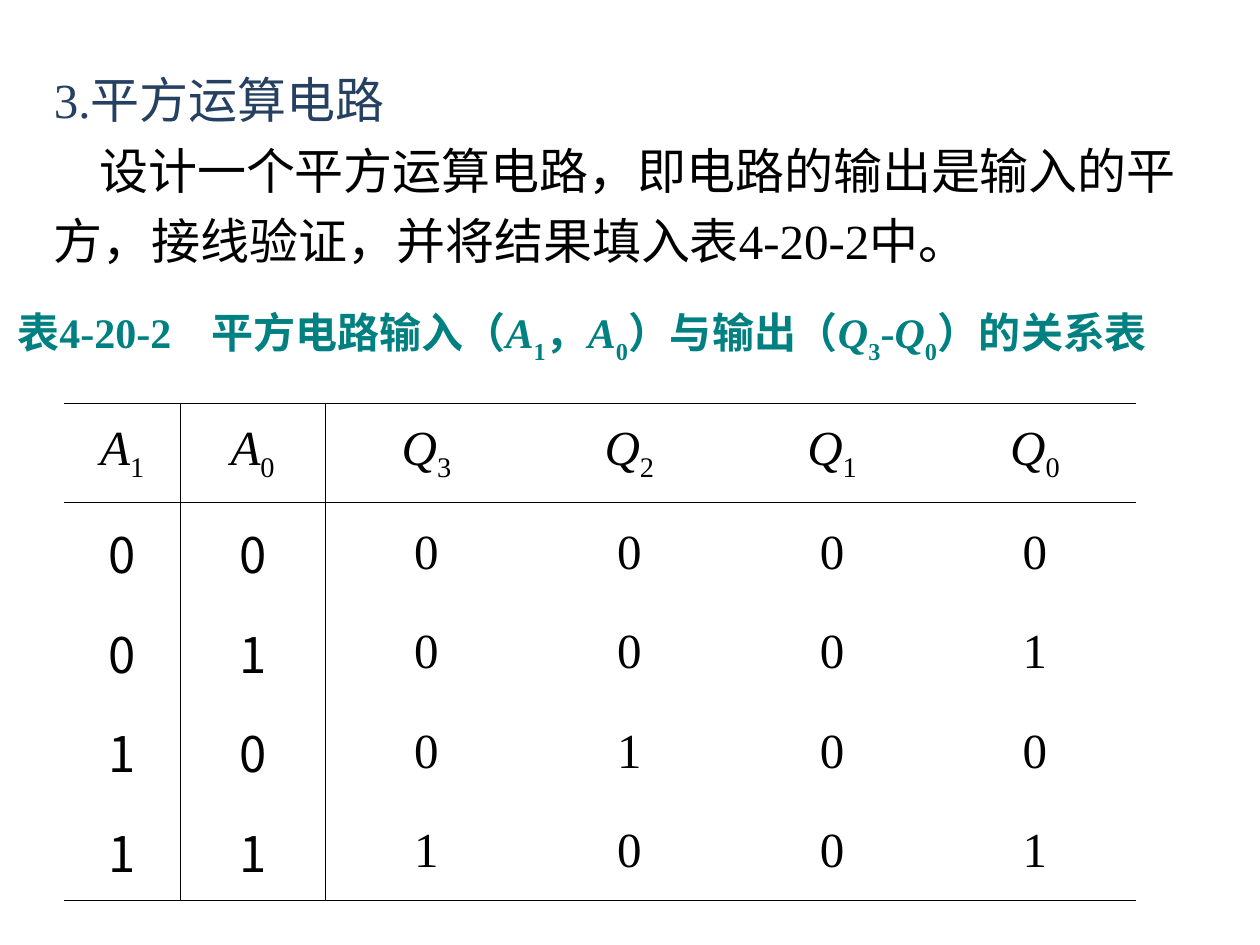
from dataclasses import dataclass

from lxml import etree
from pptx import Presentation
from pptx.dml.color import RGBColor
from pptx.enum.text import MSO_ANCHOR, MSO_AUTO_SIZE, PP_ALIGN
from pptx.oxml.ns import qn
from pptx.util import Inches, Pt

CENTER = PP_ALIGN.CENTER
TOP, MIDDLE = MSO_ANCHOR.TOP, MSO_ANCHOR.MIDDLE
GROW, FIXED = MSO_AUTO_SIZE.SHAPE_TO_FIT_TEXT, MSO_AUTO_SIZE.NONE


@dataclass(frozen=True)
class Theme:
    navy: str = "254061"
    teal: str = "008080"
    black: str = "000000"
    serif: str = "Times New Roman"
    sans: str = "Noto Sans CJK SC"
    body: int = 28
    title: int = 24
    rule: float = 0.45


class Deck:
    def __init__(self, theme):
        self.theme = theme
        self.prs = Presentation()
        self.prs.slide_width, self.prs.slide_height = Inches(10), Inches(7.5)
        self.slide = self.prs.slides.add_slide(self.prs.slide_layouts[6])

    def runs(self, para, parts, size, color, font=None, bold=False, drop=-30):
        """Add (text, kind) parts; kind is "", "var" or "sub"."""
        for text, kind in parts:
            run = para.add_run()
            run.text = text
            face = run.font
            face.size, face.bold, face.italic = Pt(size), bold, kind == "var"
            face.color.rgb = RGBColor.from_string(color)
            face.name = font or self.theme.serif
            props = run._r.get_or_add_rPr()
            etree.SubElement(props, qn("a:ea")).set("typeface", self.theme.sans)
            if kind == "sub":
                props.set("baseline", str(drop * 1000))

    def box(self, left, top, width, height, anchor=TOP, wrap=True, fit=FIXED):
        shape = self.slide.shapes.add_textbox(
            Inches(left), Inches(top), Inches(width), Inches(height))
        frame = shape.text_frame
        frame.word_wrap, frame.auto_size = wrap, fit
        frame.vertical_anchor = anchor
        return frame

    def indent(self, para, length):
        para._p.get_or_add_pPr().set("indent", str(Inches(length)))

    def tab(self, para, length):
        stops = etree.SubElement(para._p.get_or_add_pPr(), qn("a:tabLst"))
        stop = etree.SubElement(stops, qn("a:tab"))
        stop.set("pos", str(Inches(length)))
        stop.set("algn", "l")

    def edges(self, cell, sides):
        """Rule the named sides of a cell and clear the others."""
        props = cell._tc.get_or_add_tcPr()
        for place, side in enumerate("LRTB"):
            line = etree.Element(qn(f"a:ln{side}"))
            if side in sides:
                line.set("w", str(Pt(self.theme.rule)))
                fill = etree.SubElement(line, qn("a:solidFill"))
                etree.SubElement(fill, qn("a:srgbClr")).set("val", self.theme.black)
            else:
                etree.SubElement(line, qn("a:noFill"))
            props.insert(place, line)

    def cell(self, cell, parts, sides, font, after):
        cell.fill.background()
        cell.vertical_anchor = MIDDLE
        cell.margin_left = cell.margin_right = Inches(0.08)
        para = cell.text_frame.paragraphs[0]
        para.alignment = CENTER
        para.space_after = Pt(after)
        self.runs(para, parts, self.theme.body, self.theme.black, font, drop=-25)
        self.edges(cell, sides)

    def table(self, left, top, widths, height, rows, keys):
        """Rule above and below the head and the foot, and after each key column."""
        last = len(rows) - 1
        frame = self.slide.shapes.add_table(
            len(rows), len(widths), Inches(left), Inches(top),
            Inches(sum(widths)), Inches(height * len(rows)))
        grid = frame.table
        grid.first_row = grid.horz_banding = False
        for col, width in zip(grid.columns, widths):
            col.width = Inches(width)
        for r, row in enumerate(rows):
            grid.rows[r].height = Inches(height)
            for c, parts in enumerate(row):
                sides = "L" * (0 < c <= keys) + "R" * (c < keys)
                sides += "T" * (r < 2) + "B" * (r in (0, last))
                font = self.theme.sans if r and c < keys else self.theme.serif
                after = 6 if r == 0 or c < keys else 0
                self.cell(grid.cell(r, c), parts, sides, font, after)


def var(name):
    return [(name[0], "var"), (name[1], "sub")]


def main():
    theme = Theme()
    deck = Deck(theme)

    # Heading and task
    frame = deck.box(0.33, 0.41, 9.47, 1.61)
    head = frame.paragraphs[0]
    task = frame.add_paragraph()
    head.line_spacing = task.line_spacing = 1.2
    deck.runs(head, [("3.平方运算电路", "")], theme.body, theme.navy)
    deck.indent(task, 0.36)
    deck.runs(task, [("设计一个平方运算电路，即电路的输出是输入的平方，"
                      "接线验证，并将结果填入表4-20-2中。", "")],
              theme.body, theme.black)

    # Table title
    title = deck.box(0.04, 2.38, 9.65, 0.57, MIDDLE, False, GROW).paragraphs[0]
    deck.tab(title, 1.54)
    parts = [("表4-20-2\t平方电路输入（", ""), *var("A1"), ("，", ""), *var("A0"),
             ("）与输出（", ""), *var("Q3"), ("-", ""), *var("Q0"),
             ("）的关系表", "")]
    deck.runs(title, parts, theme.title, theme.teal, bold=True)

    # Truth table: each output is the square of the input in binary
    rows = [[var(name) for name in ("A1", "A0", "Q3", "Q2", "Q1", "Q0")]]
    for n in range(4):
        rows.append([[(bit, "")] for bit in f"{n:02b}{n * n:04b}"])
    deck.table(0.51, 3.2, [0.92, 1.15] + [1.61] * 4, 0.79, rows, keys=2)

    deck.prs.save("out.pptx")


if __name__ == "__main__":
    main()
